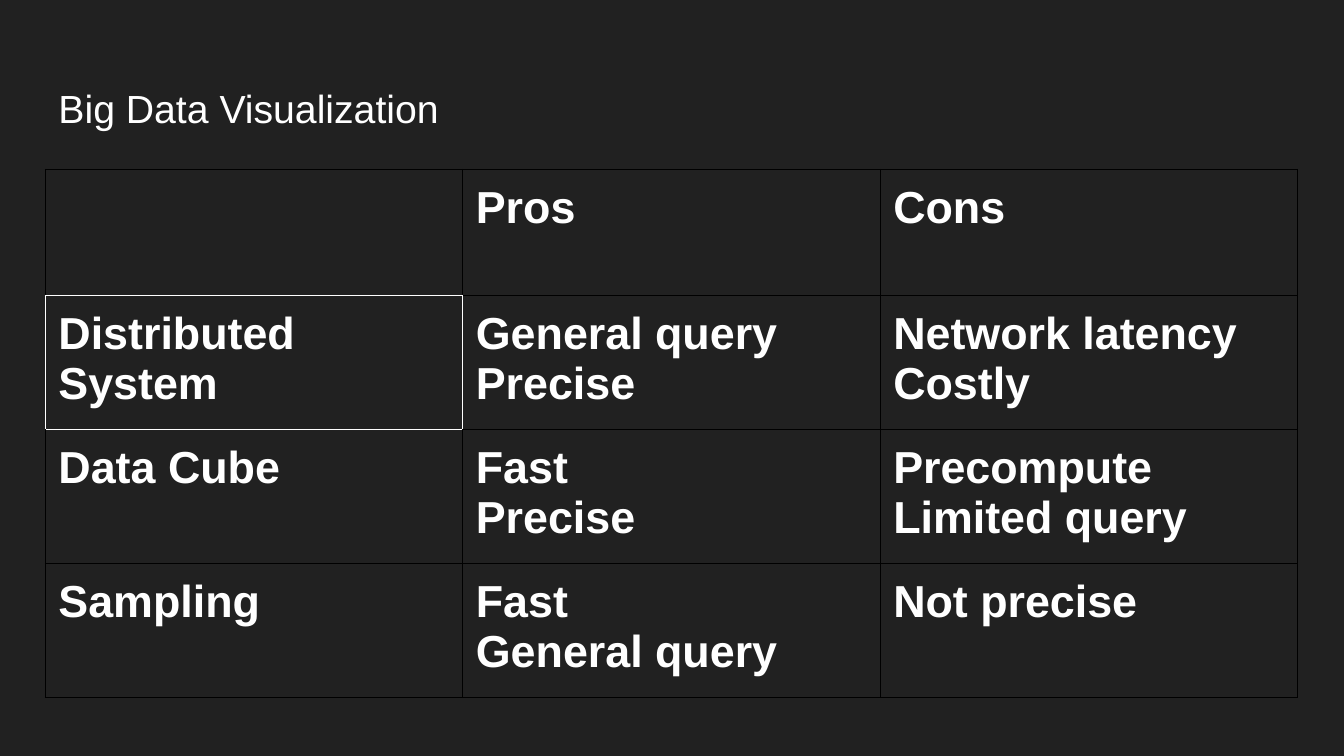
"""Build the Big Data Visualization comparison slide."""
from dataclasses import dataclass

from lxml.etree import SubElement
from pptx import Presentation
from pptx.dml.color import RGBColor
from pptx.enum.text import MSO_ANCHOR, PP_ALIGN
from pptx.oxml.ns import qn
from pptx.util import Inches, Pt


@dataclass(frozen=True)
class Theme:
    """Colours, type sizes and line width of the slide."""
    background: str = "212121"
    text: str = "FFFFFF"
    grid: str = "000000"
    highlight: str = "FFFFFF"
    font: str = "Arial"
    title_size: int = 28
    cell_size: int = 32
    border: float = 0.75


THEME = Theme()
INSET = Inches(0.13)
MARGINS = {f"margin_{side}": INSET for side in ("left", "right", "top", "bottom")}
COLUMN_WIDTHS = [4.14] * 3
ROW_HEIGHTS = [1.25] + [1.33] * 3
HIGHLIGHTED = (1, 0)
EDGES = {"a:lnL": (0, -1), "a:lnR": (0, 1), "a:lnT": (-1, 0), "a:lnB": (1, 0)}
COMPARISON = [
    ["", "Pros", "Cons"],
    ["Distributed System", "General query\nPrecise", "Network latency\nCostly"],
    ["Data Cube", "Fast\nPrecise", "Precompute\nLimited query"],
    ["Sampling", "Fast\nGeneral query", "Not precise"],
]


def apply_format(target, values):
    """Set each named attribute on the target."""
    for name, value in values.items():
        setattr(target, name, value)


def write_text(frame, text, size, bold):
    """Write one left-aligned paragraph per line of text."""
    frame.text = text
    for para in frame.paragraphs:
        para.alignment = PP_ALIGN.LEFT
        for span in para.runs:
            apply_format(span.font, {"name": THEME.font, "size": Pt(size), "bold": bold})
            span.font.color.rgb = RGBColor.from_string(THEME.text)


def add_title(page, text):
    """Place and fill the title placeholder."""
    title = page.shapes.title
    apply_format(title, {"left": Inches(0.45), "top": Inches(0.65),
                         "width": Inches(12.42), "height": Inches(0.84)})
    apply_format(title.text_frame, {**MARGINS, "word_wrap": True,
                                    "vertical_anchor": MSO_ANCHOR.MIDDLE})
    write_text(title.text_frame, text, THEME.title_size, False)


def draw_borders(cell, row, column):
    """Draw the grid lines of a cell, brighter beside the highlighted cell."""
    properties = cell._tc.get_or_add_tcPr()
    for tag, (down, across) in EDGES.items():
        touching = HIGHLIGHTED in ((row, column), (row + down, column + across))
        line = SubElement(properties, qn(tag), w=str(Pt(THEME.border)))
        fill = SubElement(line, qn("a:solidFill"))
        SubElement(fill, qn("a:srgbClr"), val=THEME.highlight if touching else THEME.grid)


def add_comparison(page, rows):
    """Add the table of pros and cons."""
    table = page.shapes.add_table(
        len(rows), len(COLUMN_WIDTHS), Inches(0.45), Inches(1.68),
        Inches(sum(COLUMN_WIDTHS)), Inches(sum(ROW_HEIGHTS))).table
    apply_format(table, {"first_row": False, "horz_banding": False})
    for column, width in zip(table.columns, COLUMN_WIDTHS):
        column.width = Inches(width)
    for row, height in zip(table.rows, ROW_HEIGHTS):
        row.height = Inches(height)
    for row_index, texts in enumerate(rows):
        for column_index, text in enumerate(texts):
            cell = table.cell(row_index, column_index)
            apply_format(cell, {**MARGINS, "vertical_anchor": MSO_ANCHOR.TOP})
            write_text(cell.text_frame, text, THEME.cell_size, True)
            draw_borders(cell, row_index, column_index)
            cell.fill.background()


def main():
    """Create the deck and save it."""
    deck = Presentation()
    apply_format(deck, {"slide_width": Inches(13.33), "slide_height": Inches(7.5)})
    page = deck.slides.add_slide(deck.slide_layouts.get_by_name("Title Only"))
    page.background.fill.solid()
    page.background.fill.fore_color.rgb = RGBColor.from_string(THEME.background)
    add_title(page, "Big Data Visualization")
    add_comparison(page, COMPARISON)
    deck.save("out.pptx")


if __name__ == "__main__":
    main()
